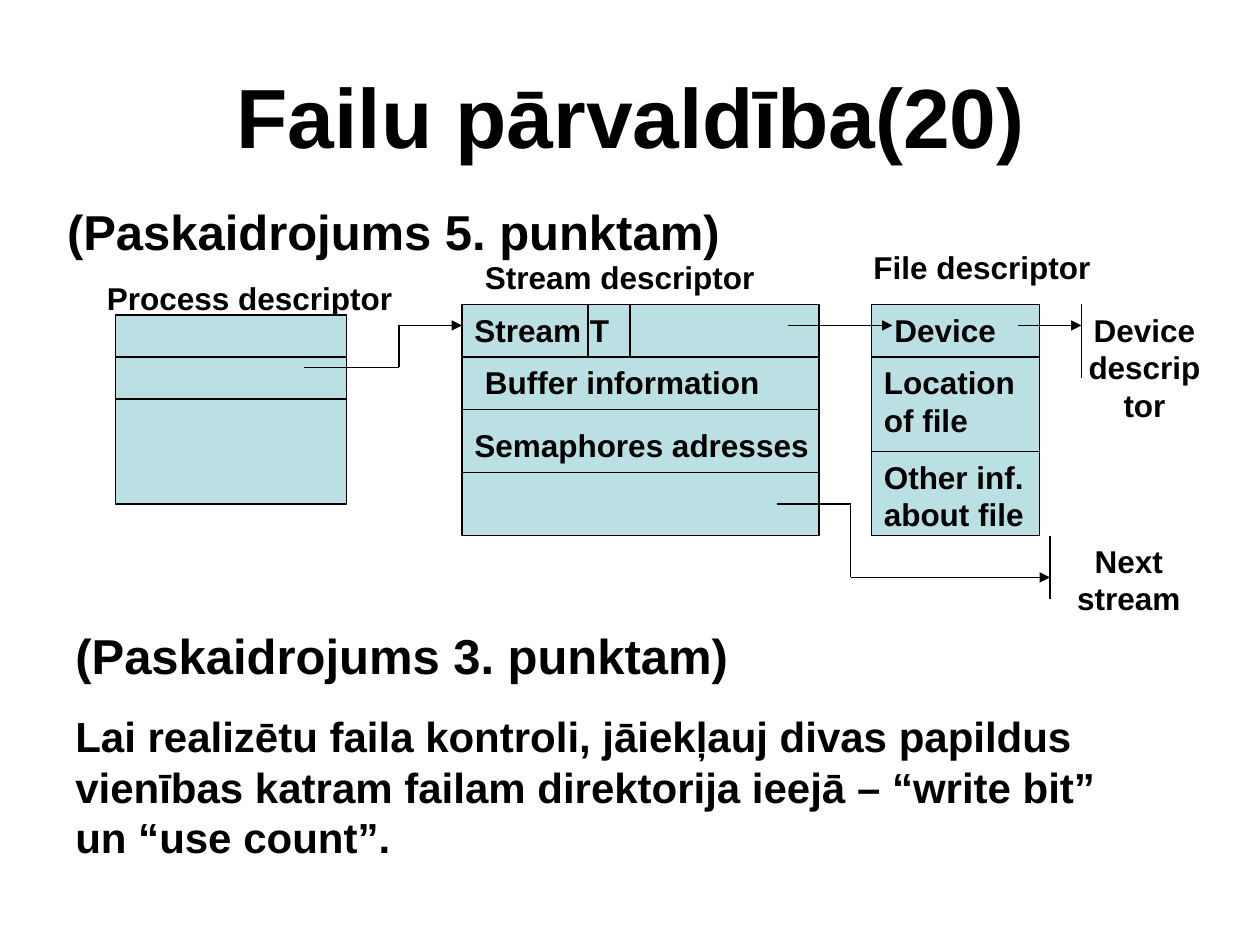
from itertools import pairwise

from lxml import etree
from pptx import Presentation
from pptx.dml.color import RGBColor
from pptx.enum.shapes import MSO_CONNECTOR, MSO_SHAPE
from pptx.enum.text import MSO_ANCHOR, PP_ALIGN
from pptx.oxml.ns import qn
from pptx.util import Inches, Pt

STRAIGHT = MSO_CONNECTOR.STRAIGHT
RECTANGLE = MSO_SHAPE.RECTANGLE
TOP, MIDDLE = MSO_ANCHOR.TOP, MSO_ANCHOR.MIDDLE
LEFT, CENTER = PP_ALIGN.LEFT, PP_ALIGN.CENTER

BLACK = RGBColor(0x00, 0x00, 0x00)
PALE_TEAL = RGBColor(0xBB, 0xE0, 0xE3)

CELLS_PER_INCH = 12
LABEL_SIZE = 18


def grid(cells):
    return Inches(cells / CELLS_PER_INCH)


def add_text(page, area, paragraphs, align=LEFT, anchor=TOP):
    box = page.shapes.add_textbox(*map(grid, area))
    frame = box.text_frame
    frame.word_wrap = True
    frame.vertical_anchor = anchor
    for index, (text, size, space_before) in enumerate(paragraphs):
        para = frame.add_paragraph() if index else frame.paragraphs[0]
        para.text = text
        para.alignment = align
        para.space_before = Pt(space_before)
        para.font.name = "Arial"
        para.font.size = Pt(size)
        para.font.bold = True
        para.font.color.rgb = BLACK


def add_label(page, text, left, top, width, height=5, align=LEFT):
    add_text(page, (left, top, width, height), [(text, LABEL_SIZE, 0)], align)


def add_line(page, start, end, arrow=False):
    line = page.shapes.add_connector(STRAIGHT, *map(grid, (*start, *end)))
    line.line.color.rgb = BLACK
    line.line.width = Pt(0.75)
    if arrow:
        etree.SubElement(line.line._get_or_add_ln(), qn("a:tailEnd"), type="triangle")
    etree.SubElement(line._element.spPr, qn("a:effectLst"))


def add_pointer(page, *points):
    for start, end in pairwise(points):
        add_line(page, start, end, arrow=end == points[-1])


def add_descriptor(page, left, top, width, height, dividers):
    box = page.shapes.add_shape(RECTANGLE, *map(grid, (left, top, width, height)))
    box.shadow.inherit = False
    box.fill.solid()
    box.fill.fore_color.rgb = PALE_TEAL
    box.line.color.rgb = BLACK
    box.line.width = Pt(0.75)
    for row in dividers:
        add_line(page, (left, row), (left + width, row))


def add_process(page):
    add_label(page, "Process descriptor", 9, 26, 32)
    add_descriptor(page, 11, 30, 22, 18, (34, 38))


def add_stream(page):
    add_label(page, "Stream descriptor", 45, 24, 32)
    add_descriptor(page, 44, 29, 34, 22, (34, 39, 45))
    for column in (56, 60):
        add_line(page, (column, 29), (column, 34))
    add_label(page, "Stream", 44, 29, 14)
    add_label(page, "T", 55, 29, 5)
    add_label(page, "Buffer information", 45, 34, 33)
    add_label(page, "Semaphores adresses", 44, 40, 35)


def add_file(page):
    add_label(page, "File descriptor", 82, 23, 26)
    add_descriptor(page, 83, 29, 16, 22, (34, 43))
    add_label(page, "Device", 84, 29, 14)
    add_label(page, "Location of file", 83, 34, 16, 8.4)
    add_label(page, "Other inf. about file", 83, 43, 18, 8.4)


def add_targets(page):
    add_line(page, (103, 29), (103, 36))
    add_label(page, "Device descriptor", 102, 29, 14, 12, CENTER)
    add_line(page, (100, 51), (100, 57))
    add_label(page, "Next stream", 100, 51, 15, 8.4, CENTER)


def main():
    deck = Presentation()
    deck.slide_width, deck.slide_height = Inches(10), Inches(7.5)
    page = deck.slides.add_slide(deck.slide_layouts[6])

    add_text(page, (6.1, 3.4, 108, 15), [("Failu pārvaldība(20)", 48, 0)], CENTER, MIDDLE)
    add_text(page, (5.2, 18.6, 109.8, 62.4), [("(Paskaidrojums 5. punktam)", 28, 0)])

    add_process(page)
    add_stream(page)
    add_file(page)
    add_targets(page)

    add_pointer(page, (29, 35), (38, 35), (38, 31), (44, 31))
    add_pointer(page, (75, 31), (85, 31))
    add_pointer(page, (97, 31), (103, 31))
    add_pointer(page, (74, 48), (81, 48), (81, 55), (100, 55))

    add_text(page, (6, 59, 102, 23.8), [
        ("(Paskaidrojums 3. punktam)", 28, 0),
        ("Lai realizētu faila kontroli, jāiekļauj divas papildus vienības "
         "katram failam direktorija ieejā – “write bit” un “use count”.", 24, 15),
    ])
    deck.save("out.pptx")


if __name__ == "__main__":
    main()
